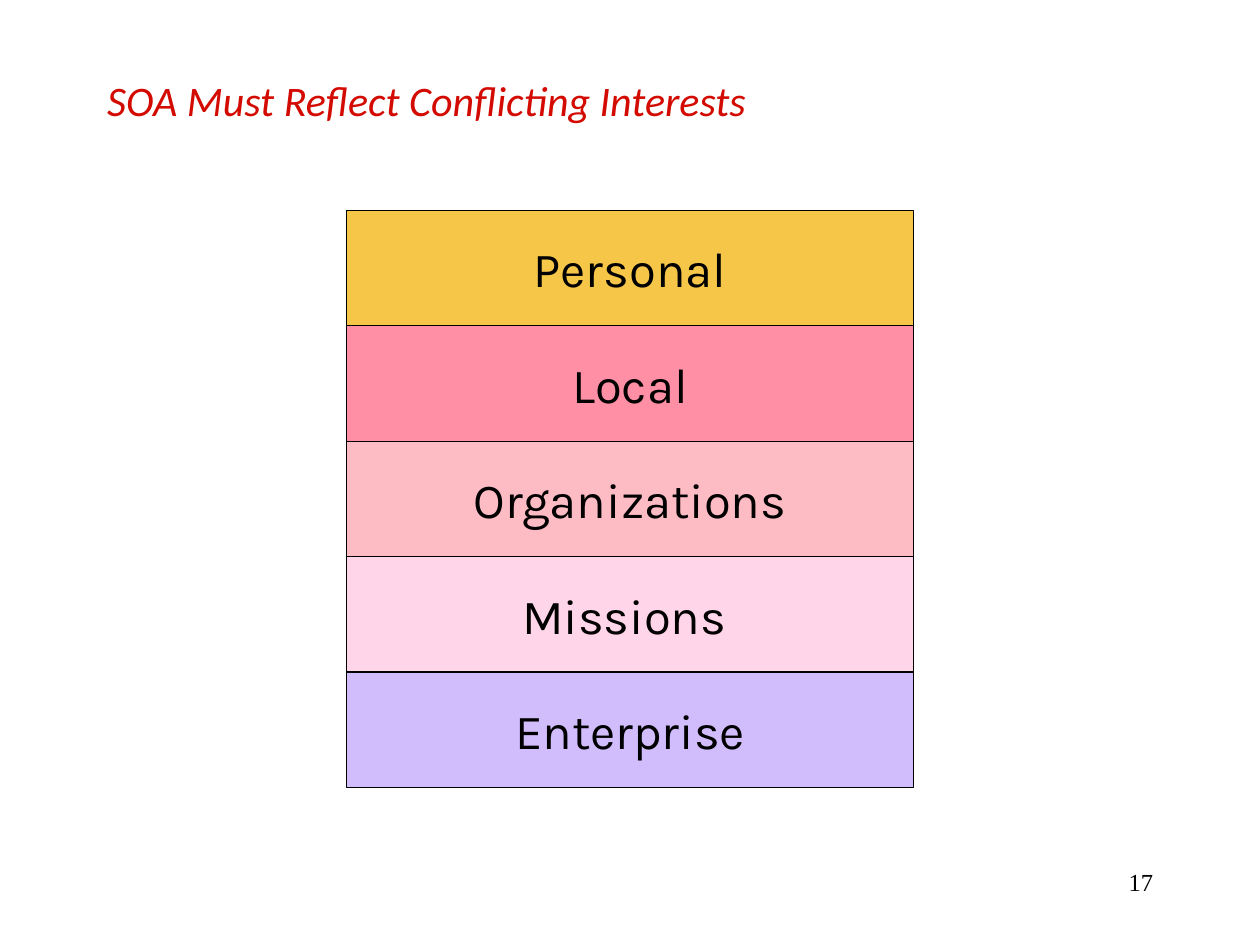
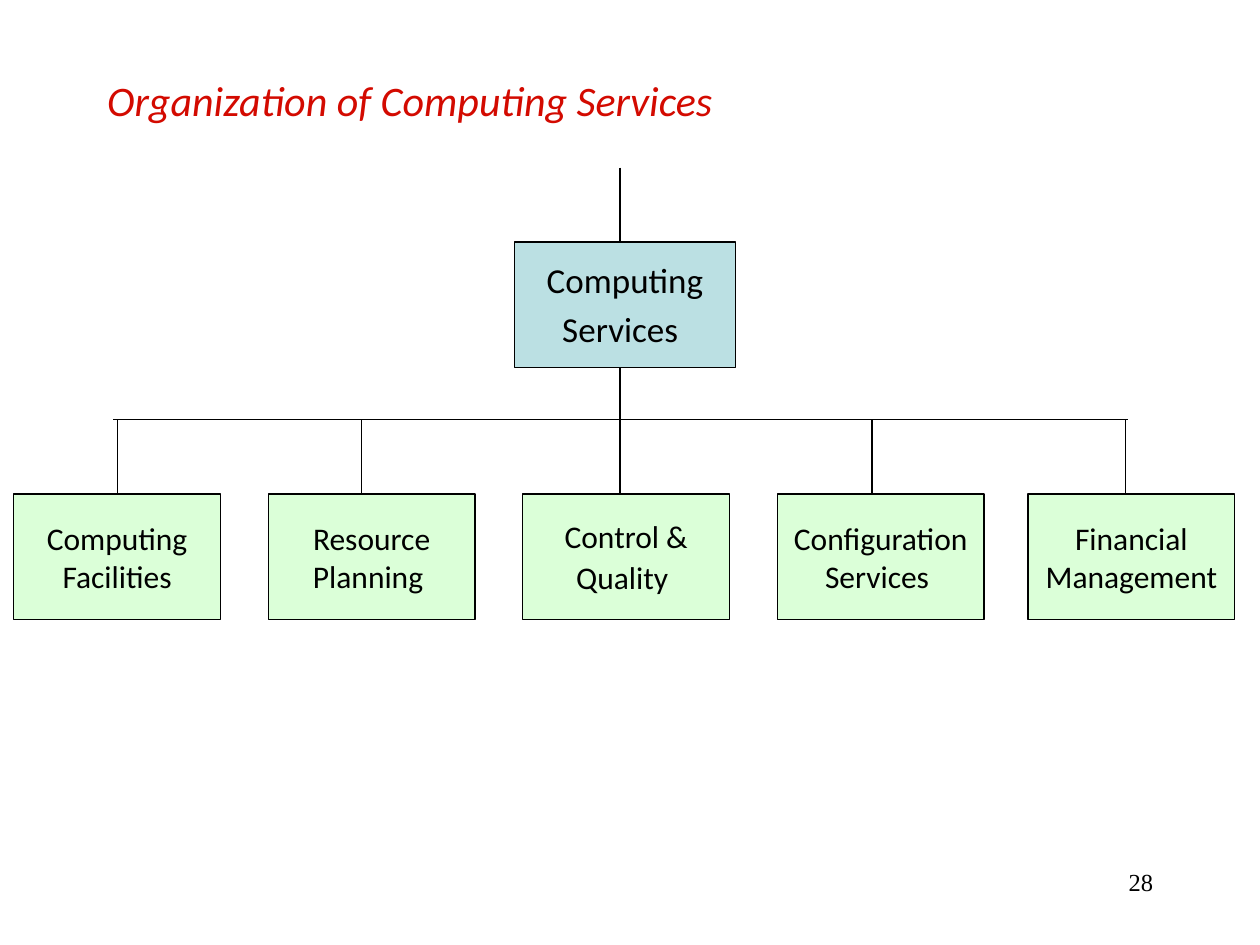
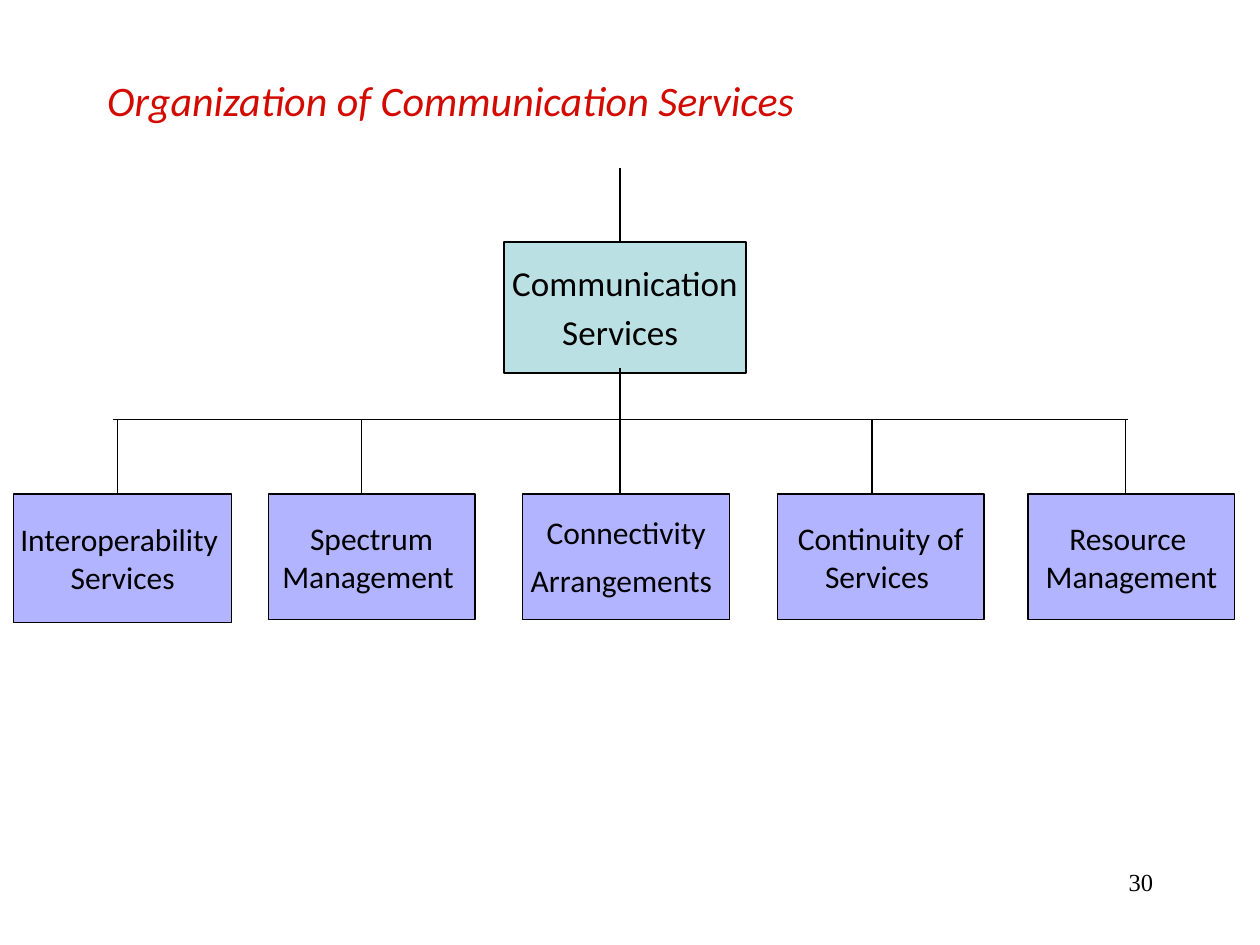
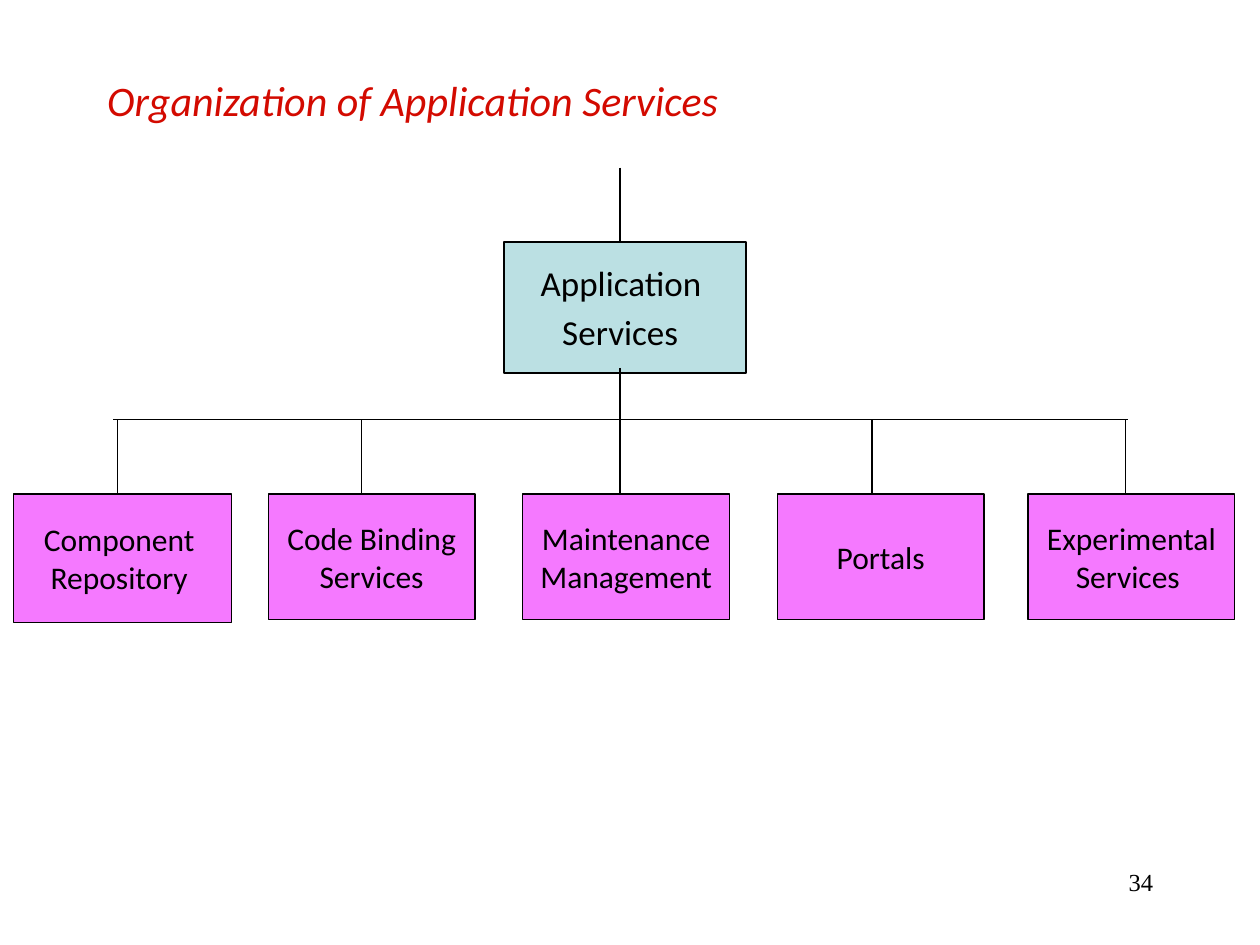
from lxml import etree
from pptx import Presentation
from pptx.dml.color import RGBColor
from pptx.enum.shapes import MSO_CONNECTOR, MSO_SHAPE
from pptx.enum.text import MSO_ANCHOR, MSO_AUTO_SIZE, PP_ALIGN
from pptx.oxml.ns import qn
from pptx.util import Inches, Pt

RECTANGLE = MSO_SHAPE.RECTANGLE
STRAIGHT = MSO_CONNECTOR.STRAIGHT
MIDDLE = MSO_ANCHOR.MIDDLE
NO_AUTOFIT = MSO_AUTO_SIZE.NONE
LEFT, CENTER, RIGHT = PP_ALIGN.LEFT, PP_ALIGN.CENTER, PP_ALIGN.RIGHT
TOP_SIDE = 0

# Shared style
TITLE_FONT = CHART_FONT = "Calibri"
LAYER_FONT = "Karla"
NUMBER_FONT = "Times New Roman"
BLACK, RED, PALE_TEAL = "000000", "D30A00", "BBE0E3"
LINE_WIDTH = 0.75

# Layer stack, from top to bottom
LAYERS = [
    ("Personal", "F5C647"),
    ("Local", "FF8FA5"),
    ("Organizations", "FDBBC3"),
    ("Missions ", "FFD5E9"),
    ("Enterprise", "D1BCFC"),
]
STACK_LEFT, STACK_TOP, STACK_WIDTH, STACK_HEIGHT = 2.75, 1.67, 4.5, 4.58

# Organization chart geometry
ROOT_CENTER, ROOT_TOP = 4.96, 1.92
TRUNK_X, TRUNK_TOP, TRUNK_LOWER = 4.92, 1.33, 2.92
BUS_LEFT, BUS_RIGHT, BUS_Y = 0.9, 8.95, 3.33
UNIT_LEFTS = [0.11, 2.13, 4.15, 6.17, 8.16]
STEM_XS = [0.93, 2.87, TRUNK_X, 6.92, 8.93]
UNIT_TOP, UNIT_SIZE = 3.92, (1.64, 1)
WIDE_ROOT, WIDE_UNIT = (1.92, 1.04), (1.73, 1.02)

# Each unit: its lines and, where it differs, the size of the closing space
CHARTS = [
    {
        "title": "Organization of Computing Services", "number": 28,
        "root": ["Computing", "Services "], "root_size": (1.75, 1),
        "first_size": UNIT_SIZE, "color": "DBFFD8",
        "units": [
            (["Computing", "Facilities"], None),
            (["Resource", "Planning "], None),
            (["Control &", "Quality "], 20),
            (["Configuration", "Services "], None),
            (["Financial", "Management"], None),
        ],
    },
    {
        "title": "Organization of Communication Services", "number": 30,
        "root": ["Communication", "Services "], "root_size": WIDE_ROOT,
        "first_size": WIDE_UNIT, "color": "B3B4FF",
        "units": [
            (["Interoperability ", "Services"], None),
            (["Spectrum", "Management "], None),
            (["Connectivity", "Arrangements "], 24),
            (["Continuity of", "Services "], None),
            (["Resource ", "Management"], None),
        ],
    },
    {
        "title": "Organization of Application Services", "number": 34,
        "root": ["Application ", "Services "], "root_size": WIDE_ROOT,
        "first_size": WIDE_UNIT, "color": "F579FF",
        "units": [
            (["Component ", "Repository "], None),
            (["Code Binding", "Services"], None),
            (["Maintenance", "Management"], None),
            (["Portals"], None),
            (["Experimental", "Services "], None),
        ],
    },
]


def rgb(color):
    return RGBColor.from_string(color)


def format_text(text_frame, font_name, size, color=BLACK, align=CENTER, italic=False):
    for paragraph in text_frame.paragraphs:
        paragraph.alignment = align
        for run in paragraph.runs:
            run.font.name = font_name
            run.font.size = Pt(size)
            run.font.italic = italic
            run.font.color.rgb = rgb(color)


def add_titled_slide(presentation, title_text, number):
    slide = presentation.slides.add_slide(presentation.slide_layouts[5])
    # Title
    title = slide.shapes.title
    title.left, title.top = Inches(0.75), Inches(0.5)
    title.width, title.height = Inches(8.5), Inches(0.58)
    title.text_frame.text = title_text
    title.text_frame.auto_size = NO_AUTOFIT
    title.text_frame.vertical_anchor = MIDDLE
    format_text(title.text_frame, TITLE_FONT, 24, RED, LEFT, italic=True)
    # Page number
    number_box = slide.shapes.add_textbox(
        Inches(7.17), Inches(6.83), Inches(2.08), Inches(0.5))
    number_box.text_frame.word_wrap = True
    number_box.text_frame.text = str(number)
    format_text(number_box.text_frame, NUMBER_FONT, 14, align=RIGHT)
    return slide


def add_box(slide, left, top, width, height, fill, lines, font_name, size, space_size=None):
    box = slide.shapes.add_shape(
        RECTANGLE, Inches(left), Inches(top), Inches(width), Inches(height))
    box.shadow.inherit = False
    box.fill.solid()
    box.fill.fore_color.rgb = rgb(fill)
    box.line.color.rgb = rgb(BLACK)
    box.line.width = Pt(LINE_WIDTH)
    text_frame = box.text_frame
    text_frame.word_wrap = False
    text_frame.vertical_anchor = MIDDLE
    text_frame.text = "\n".join(lines)
    if space_size:
        # A larger closing space makes the last line taller
        last_paragraph = text_frame.paragraphs[-1]
        last_paragraph.text = lines[-1].rstrip()
        last_paragraph.add_run().text = " "
    format_text(text_frame, font_name, size)
    if space_size:
        last_paragraph.runs[-1].font.size = Pt(space_size)
    return box


def add_line(slide, start_x, start_y, end_x, end_y, end_box=None):
    line = slide.shapes.add_connector(
        STRAIGHT, Inches(start_x), Inches(start_y), Inches(end_x), Inches(end_y))
    line.line.color.rgb = rgb(BLACK)
    line.line.width = Pt(LINE_WIDTH)
    etree.SubElement(line._element.spPr, qn("a:effectLst"))
    # Join only where the line really meets the middle of the top side
    if end_box is not None:
        middle_x = end_box.left + end_box.width // 2
        if abs(middle_x - Inches(end_x)) < Inches(0.01):
            line.end_connect(end_box, TOP_SIDE)


def build_layers(presentation):
    slide = add_titled_slide(presentation, "SOA Must Reflect Conflicting Interests", 17)
    layer_height = STACK_HEIGHT / len(LAYERS)
    for index, (name, color) in reversed(list(enumerate(LAYERS))):
        add_box(slide, STACK_LEFT, STACK_TOP + index * layer_height,
                STACK_WIDTH, layer_height, color, [name], LAYER_FONT, 28)


def build_organization(presentation, chart):
    slide = add_titled_slide(presentation, chart["title"], chart["number"])
    # Head of the organization
    root_width, root_height = chart["root_size"]
    root = add_box(slide, ROOT_CENTER - root_width / 2, ROOT_TOP, root_width, root_height,
                   PALE_TEAL, chart["root"], CHART_FONT, 20, space_size=24)
    add_line(slide, TRUNK_X, TRUNK_TOP, TRUNK_X, ROOT_TOP, root)
    # Units
    units = []
    for index, (lines, space_size) in enumerate(chart["units"]):
        width, height = UNIT_SIZE if index else chart["first_size"]
        units.append(add_box(slide, UNIT_LEFTS[index], UNIT_TOP, width, height,
                             chart["color"], lines, CHART_FONT, 18, space_size))
    # Bus and stems; the trunk runs on from the head to the middle unit
    add_line(slide, BUS_LEFT, BUS_Y, BUS_RIGHT, BUS_Y)
    for stem_x, unit in zip(STEM_XS, units):
        stem_top = TRUNK_LOWER if stem_x == TRUNK_X else BUS_Y
        add_line(slide, stem_x, stem_top, stem_x, UNIT_TOP, unit)


def main():
    presentation = Presentation()
    presentation.slide_width, presentation.slide_height = Inches(10), Inches(7.5)
    build_layers(presentation)
    for chart in CHARTS:
        build_organization(presentation, chart)
    presentation.save("out.pptx")


if __name__ == "__main__":
    main()
